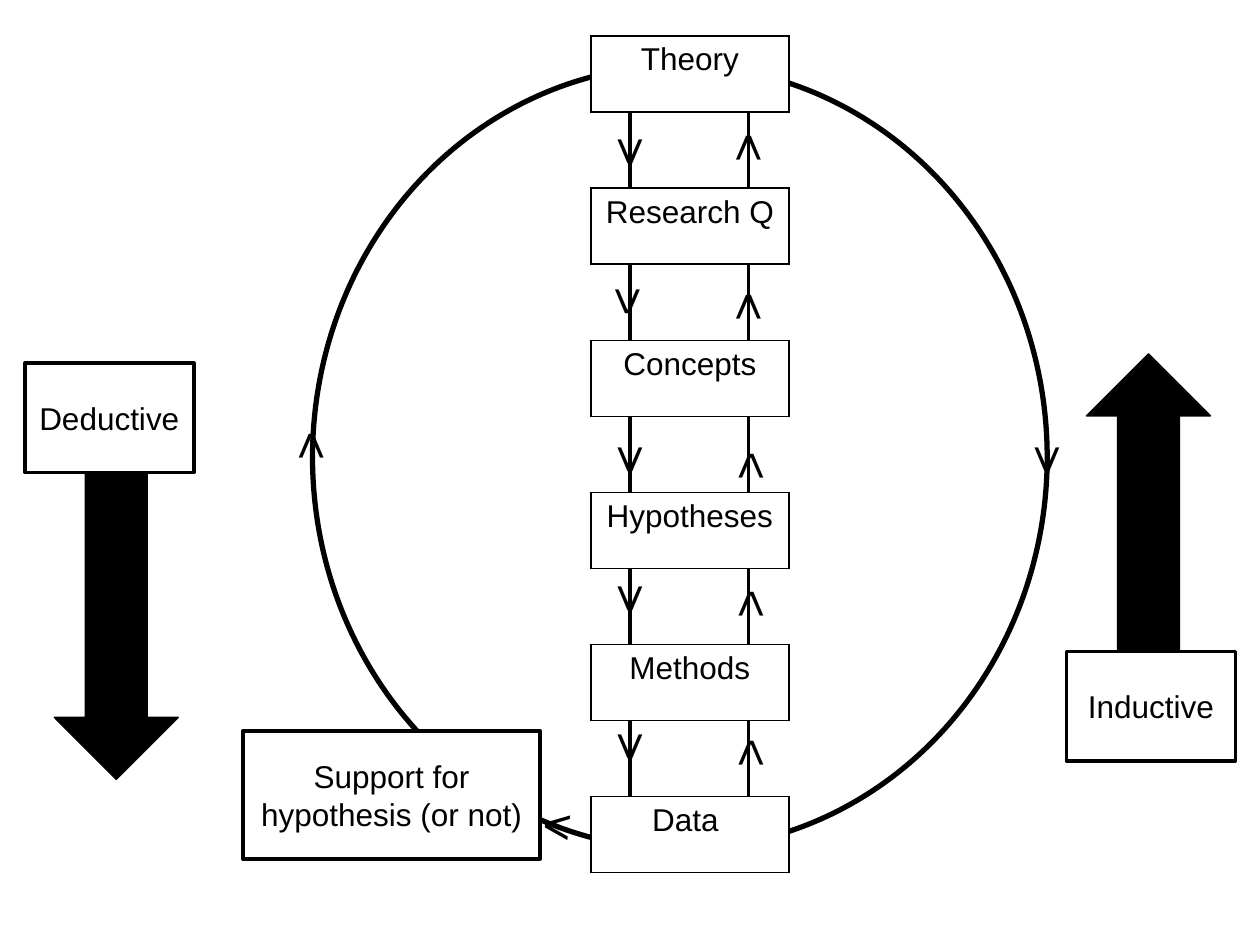
"""Build a slide showing the research cycle between theory and data."""
import pptx
import pptx.dml.color
import pptx.enum.shapes
import pptx.enum.text
import pptx.oxml
import pptx.oxml.ns
import pptx.util

Pt = pptx.util.Pt
SHAPE = pptx.enum.shapes.MSO_SHAPE
ALIGN = pptx.enum.text.PP_ALIGN
BLACK = pptx.dml.color.RGBColor(0, 0, 0)
WHITE = pptx.dml.color.RGBColor(255, 255, 255)

STAGES = ["Theory", "Research Q", "Concepts", "Hypotheses", "Methods", "Data "]
TABLE = (337.6, 20.6, 113.2, 478.1)
CYCLE = (178.6, 37.4, 419.8, 447.8)
SUPPORT = ("Support for hypothesis (or not)", (138.8, 417.6, 169.9, 73.4))
RAILS = [(360, 43.2, 468.7), (427.7, 37.4, 468.7)]
DIRECTIONS = [
    ("Inductive", (609.4, 372.2, 96.6, 62.6), (620.8, 202.2, 70.9, 175.4), 180),
    ("Deductive", (14.2, 207.4, 96.6, 62.6), (31, 270, 70.9, 175.4), 0),
]
DOWN, UP = 90, 270
MARK_SIZE = (33.9, 41)
MARKS = [
    (344.9, 67.7, DOWN), (343.4, 153.4, DOWN), (344.9, 244.1, DOWN),
    (344.9, 323.3, DOWN), (344.9, 408.2, DOWN),
    (409, 62.6, UP), (409, 153.4, UP), (410.4, 244.1, UP),
    (410.4, 323.3, UP), (410.4, 408.2, UP),
    (159.1, 232.6, UP), (583.2, 244.1, DOWN), (299.5, 453.6, 186.6),
]


def write(tf, text, size=18, align=ALIGN.CENTER):
    p = tf.paragraphs[0]
    p.alignment = align
    r = p.add_run()
    r.text = text
    for name, value in {"name": "Arial", "size": Pt(size), "bold": False}.items():
        setattr(r.font, name, value)
    r.font.color.rgb = BLACK


def add_shape(s, kind, box, fill=None, line=2, text=None, rotation=0):
    sp = s.shapes.add_shape(kind, *map(Pt, box))
    sp.shadow.inherit = False
    sp.rotation = rotation
    if fill is None:
        sp.fill.background()
    else:
        sp.fill.solid()
        sp.fill.fore_color.rgb = fill
    sp.line.color.rgb = BLACK
    sp.line.width = Pt(line)
    if text:
        tf = sp.text_frame
        tf.word_wrap = True
        tf.vertical_anchor = pptx.enum.text.MSO_ANCHOR.MIDDLE
        write(tf, text)


def add_rail(s, x, top, bottom):
    line = s.shapes.add_connector(
        pptx.enum.shapes.MSO_CONNECTOR.STRAIGHT, Pt(x), Pt(top), Pt(x), Pt(bottom))
    line.line.color.rgb = BLACK
    line.line.width = Pt(2)
    line._element.spPr.append(pptx.oxml.parse_xml(
        f"<a:effectLst {pptx.oxml.ns.nsdecls('a')}/>"))


def set_borders(cell, black_sides):
    tc_pr = cell._tc.get_or_add_tcPr()
    for i, side in enumerate("LRTB"):
        fill = "<a:noFill/>"
        if side in black_sides:
            fill = f'<a:solidFill><a:srgbClr val="{BLACK}"/></a:solidFill>'
        tc_pr.insert(i, pptx.oxml.parse_xml(
            f'<a:ln{side} {pptx.oxml.ns.nsdecls("a")} w="{Pt(1)}">{fill}</a:ln{side}>'))


def add_stages(s):
    count = 2 * len(STAGES) - 1
    table = s.shapes.add_table(count, 1, *map(Pt, TABLE)).table
    table.first_row = table.horz_banding = False
    for i in range(count):
        table.rows[i].height = Pt(TABLE[3] / count)
        cell = table.cell(i, 0)
        if i % 2:
            cell.fill.background()
            set_borders(cell, "TB")
        else:
            cell.fill.solid()
            cell.fill.fore_color.rgb = WHITE
            write(cell.text_frame, STAGES[i // 2])
            set_borders(cell, "LRTB")


def add_mark(s, left, top, rotation):
    sp = s.shapes.add_textbox(Pt(left), Pt(top), *map(Pt, MARK_SIZE))
    sp.rotation = rotation
    tf = sp.text_frame
    tf.word_wrap = True
    tf.auto_size = pptx.enum.text.MSO_AUTO_SIZE.SHAPE_TO_FIT_TEXT
    write(tf, ">", 28, ALIGN.LEFT)


def main():
    prs = pptx.Presentation()
    prs.slide_width, prs.slide_height = Pt(720), Pt(540)
    s = prs.slides.add_slide(prs.slide_layouts[6])
    add_shape(s, SHAPE.OVAL, CYCLE, line=3)
    text, box = SUPPORT
    add_shape(s, SHAPE.RECTANGLE, box, WHITE, text=text)
    for rail in RAILS:
        add_rail(s, *rail)
    add_stages(s)
    for text, box, arrow, rotation in DIRECTIONS:
        add_shape(s, SHAPE.DOWN_ARROW, arrow, BLACK, 0.75, rotation=rotation)
        add_shape(s, SHAPE.RECTANGLE, box, WHITE, text=text)
    for mark in MARKS:
        add_mark(s, *mark)
    prs.save("out.pptx")


if __name__ == "__main__":
    main()
